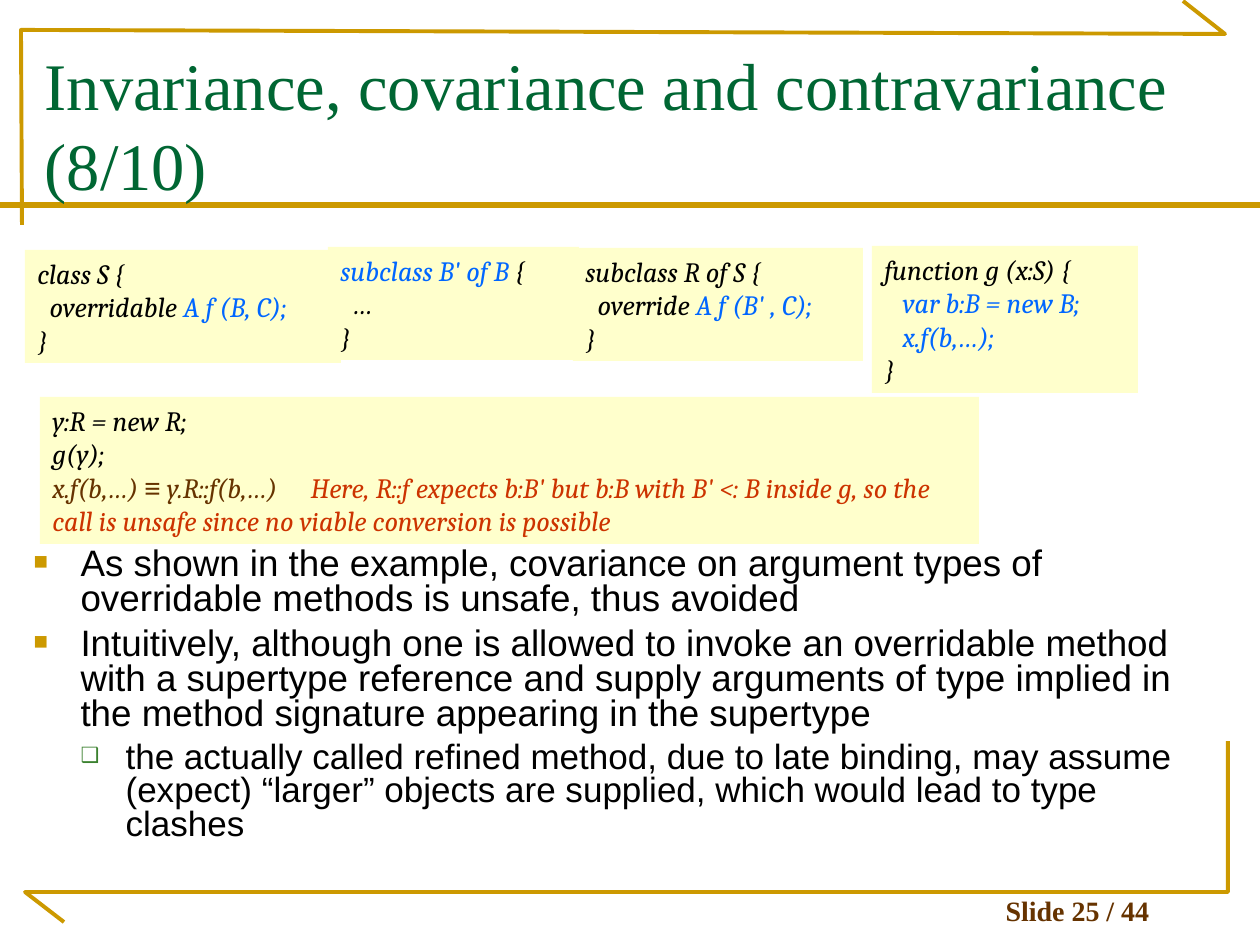
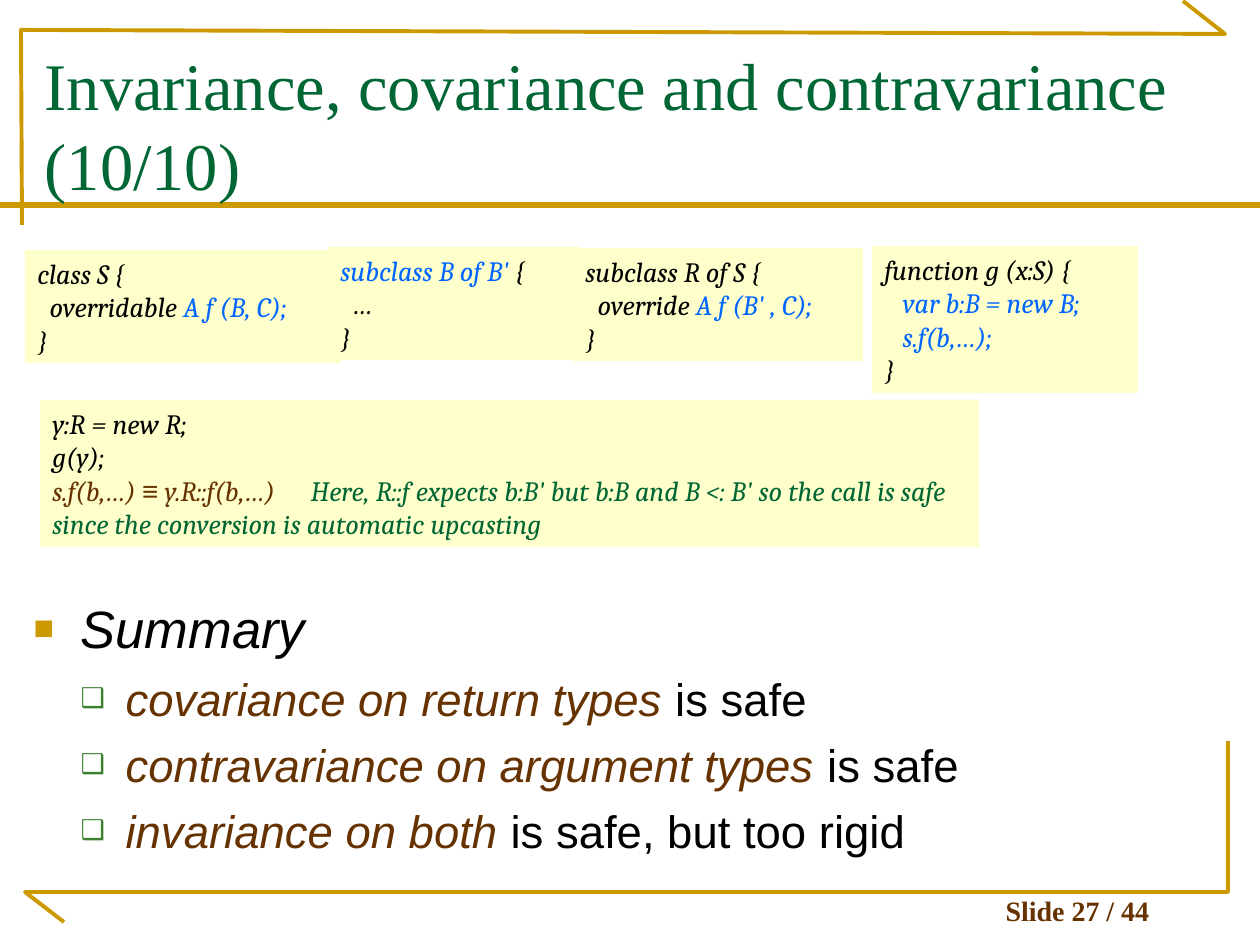
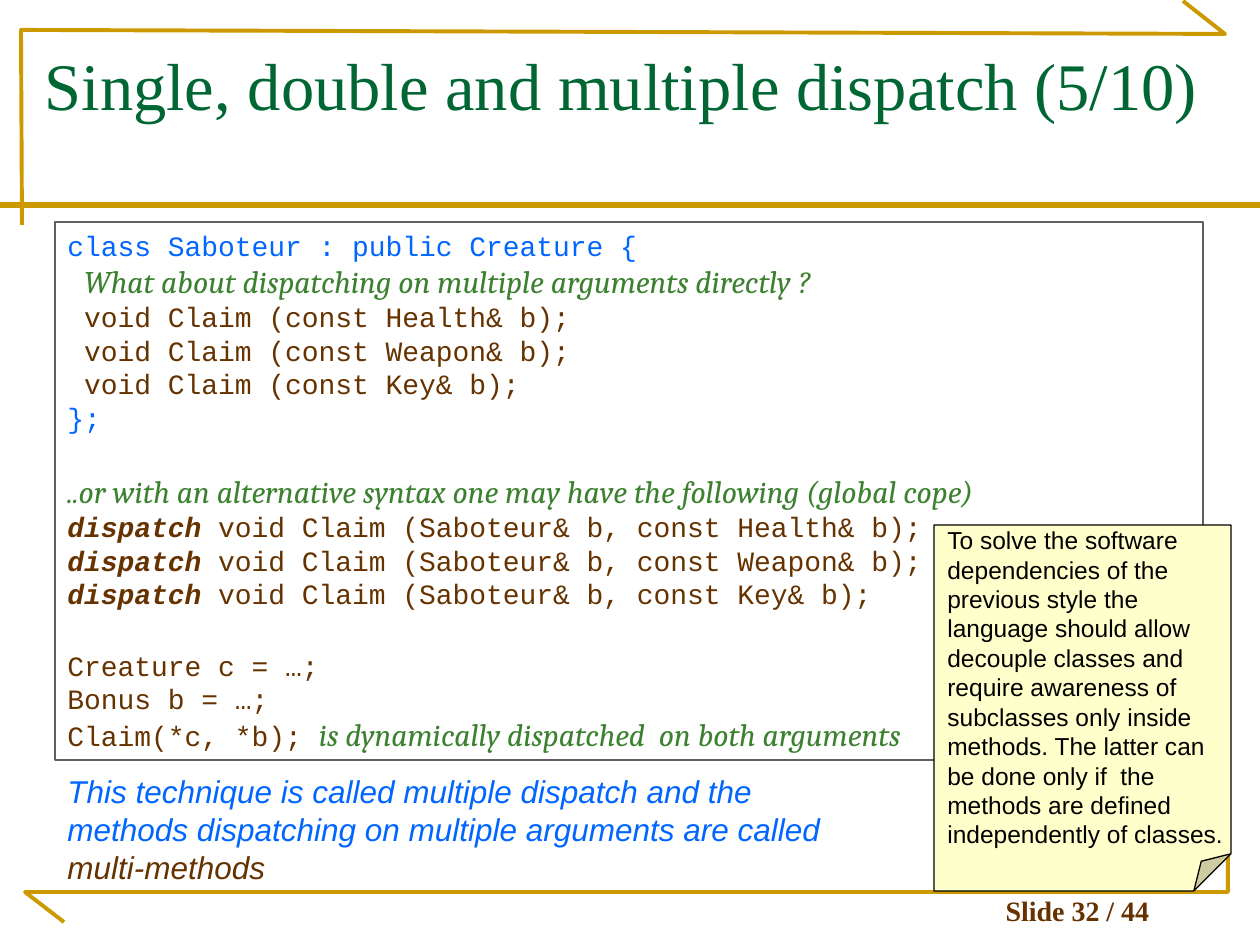
from dataclasses import dataclass, replace

from lxml import etree
from pptx import Presentation
from pptx.dml.color import RGBColor
from pptx.enum.shapes import MSO_CONNECTOR, MSO_SHAPE
from pptx.enum.text import MSO_ANCHOR, MSO_AUTO_SIZE, PP_ALIGN
from pptx.oxml.ns import qn
from pptx.util import Pt

EMU_PER_PX = 914400 / 126
LEFT, CENTER = PP_ALIGN.LEFT, PP_ALIGN.CENTER
TOP, BOTTOM = MSO_ANCHOR.TOP, MSO_ANCHOR.BOTTOM
RECTANGLE, FOLDED_CORNER = MSO_SHAPE.RECTANGLE, MSO_SHAPE.FOLDED_CORNER
STRAIGHT, NO_AUTOFIT = MSO_CONNECTOR.STRAIGHT, MSO_AUTO_SIZE.NONE
SLIDE_TOTAL = 44


# Theme
@dataclass(frozen=True)
class Style:
    font: str
    size: int
    color: str
    bold: bool = False
    italic: bool = False


@dataclass(frozen=True)
class Theme:
    gold: str = "CC9900"
    green: str = "006633"
    leaf: str = "3B812F"
    blue: str = "0066FF"
    brown: str = "663300"
    red: str = "CC3300"
    black: str = "000000"
    gray: str = "5F5F5F"
    cream: str = "FFFFCC"
    serif: str = "Times New Roman"
    sans: str = "Arial"
    cambria: str = "Cambria"
    mono: str = "Courier New"
    title_size: int = 38
    summary_size: int = 30
    summary_item_size: int = 26
    point_size: int = 21
    subpoint_size: int = 20
    remark_size: int = 18
    code_size: int = 16
    note_size: int = 14


T = Theme()
TITLE = Style(T.serif, T.title_size, T.green)
FOOTER = Style(T.serif, T.code_size, T.brown, bold=True)
CODE = Style(T.cambria, T.code_size, T.black, italic=True)
CODE_BLUE = replace(CODE, color=T.blue)
CODE_BROWN = replace(CODE, color=T.brown)
MONO = Style(T.mono, T.code_size, T.brown)
MONO_BLUE = replace(MONO, color=T.blue)
KEYWORD = replace(MONO, bold=True, italic=True)
REMARK = Style(T.cambria, T.remark_size, T.leaf, italic=True)
POINT = Style(T.sans, T.point_size, T.black)
SUBPOINT = replace(POINT, size=T.subpoint_size)
SUMMARY = replace(POINT, size=T.summary_size, italic=True)
SAFETY = replace(POINT, size=T.summary_item_size)
VARIANCE = replace(SAFETY, color=T.brown, italic=True)
NOTE = replace(POINT, size=T.note_size)
CAPTION = Style(T.sans, T.remark_size, T.blue, italic=True)

# Bullets by level: sign, colour, size in percent, left margin and hang in px
BULLETS = (("■", T.gold, 65, 47, 47), ("❑", T.leaf, 60, 92, 45))

# Lines of the page frame
TOP_FRAME = ((22, 225), (21, 30), (1225, 34), (1183, 1))
BOTTOM_FRAME = ((64, 922), (25, 892), (1228, 892), (1228, 741))


def px(length):
    return round(length * EMU_PER_PX)


def box_px(box):
    return [px(length) for length in box]


def rgb(color):
    return RGBColor.from_string(color)


# Text
def write(frame, paragraphs, align=LEFT, anchor=TOP):
    """Fill a text frame with paragraphs, each a list of (text, style) runs."""
    frame.word_wrap = True
    frame.auto_size = NO_AUTOFIT
    frame.vertical_anchor = anchor
    for index, runs in enumerate(paragraphs):
        paragraph = frame.add_paragraph() if index else frame.paragraphs[0]
        paragraph.alignment = align
        for text, style in runs:
            run = paragraph.add_run()
            run.text = text
            font = run.font
            font.name, font.size = style.font, Pt(style.size)
            font.bold, font.italic = style.bold, style.italic
            font.color.rgb = rgb(style.color)


def add_bullet(paragraph, level):
    sign, color, percent, margin, hang = BULLETS[level]
    paragraph.level = level
    props = paragraph._p.get_or_add_pPr()
    props.set("marL", str(px(margin)))
    props.set("indent", str(-px(hang)))
    bullet_color = etree.SubElement(props, qn("a:buClr"))
    etree.SubElement(bullet_color, qn("a:srgbClr"), val=color)
    etree.SubElement(props, qn("a:buSzPct"), val=str(percent * 1000))
    etree.SubElement(props, qn("a:buChar"), char=sign)


def add_label(slide, box, paragraphs, **layout):
    label = slide.shapes.add_textbox(*box_px(box))
    write(label.text_frame, paragraphs, **layout)


# Shapes
def set_line(shape, color, width):
    shape.line.color.rgb = rgb(color)
    shape.line.width = Pt(width)


def add_panel(slide, box, paragraphs=(), kind=RECTANGLE, fill=T.cream, line=None):
    panel = slide.shapes.add_shape(kind, *box_px(box))
    panel.shadow.inherit = False
    if fill:
        panel.fill.solid()
        panel.fill.fore_color.rgb = rgb(fill)
    else:
        panel.fill.background()
    if line:
        set_line(panel, line, 0.75)
    else:
        panel.line.fill.background()
    write(panel.text_frame, paragraphs)
    return panel


def add_folded_note(slide, box):
    note = add_panel(slide, box, kind=FOLDED_CORNER, line=T.black)
    geometry = note.element.spPr.find(qn("a:prstGeom"))
    guides = geometry.get_or_add_avLst()
    etree.SubElement(guides, qn("a:gd"), name="adj", fmla="val 12500")


def add_bracket(slide, points):
    builder = slide.shapes.build_freeform(*points[0], scale=EMU_PER_PX)
    builder.add_line_segments(points[1:], close=False)
    bracket = builder.convert_to_shape()
    bracket.shadow.inherit = False
    bracket.fill.background()
    set_line(bracket, T.gold, 2.25)
    return bracket


def add_title_rule(slide):
    rule = slide.shapes.add_connector(STRAIGHT, 0, px(205), px(1260), px(205))
    set_line(rule, T.gold, 3)
    etree.SubElement(rule.element.spPr, qn("a:effectLst"))
    return rule


def move_frame_to_master(prs, slide):
    """Draw the page frame once and let every slide inherit it."""
    frame = [add_bracket(slide, TOP_FRAME), add_bracket(slide, BOTTOM_FRAME),
             add_title_rule(slide)]
    for shape_id, part in enumerate(frame, start=20):
        part.element.xpath("./*/p:cNvPr")[0].set("id", str(shape_id))
        prs.slide_master.shapes.element.insert_element_before(part.element, "p:extLst")


# Slide parts
def place(placeholder, box):
    (placeholder.left, placeholder.top,
     placeholder.width, placeholder.height) = box_px(box)


def add_slide(prs, layout, title, number):
    slide = prs.slides.add_slide(prs.slide_layouts.get_by_name(layout))
    place(slide.shapes.title, (32, 38, 1187, 158))
    write(slide.shapes.title.text_frame, [[(title, TITLE)]])
    add_label(slide, (929, 891, 297, 42),
              [[(f"Slide {number} / {SLIDE_TOTAL}", FOOTER)]],
              align=CENTER, anchor=BOTTOM)
    return slide


def add_points(slide, top, points, line_spacing=1.0):
    """Fill the body with points, each (level, space before, runs)."""
    body = slide.placeholders[1]
    place(body, (21, top, 1197, 882 - top))
    write(body.text_frame, [runs for _, _, runs in points])
    for paragraph, (level, space, _) in zip(body.text_frame.paragraphs, points):
        paragraph.line_spacing = line_spacing
        paragraph.space_before = Pt(space)
        add_bullet(paragraph, level)


def add_variance_example(slide, subclass, argument, call_top, verdict, verdict_color):
    """Four declarations in a row and the call that uses them."""
    closing = [("}", CODE)]
    add_panel(slide, (25, 250, 316, 113), [
        [("class S {", CODE)],
        [("  overridable ", CODE), ("A f (B, C);", CODE_BLUE)],
        closing])
    add_panel(slide, (328, 247, 251, 113), [
        [(subclass, CODE_BLUE), (" {", CODE)],
        [("  …", CODE)],
        closing])
    add_panel(slide, (573, 248, 290, 113), [
        [("subclass R of S {", CODE)],
        [("  override ", CODE), ("A f (B' , C);", CODE_BLUE)],
        closing])
    add_panel(slide, (872, 246, 266, 147), [
        [("function g (x:S) {", CODE)],
        [("   var b:B = new B;", CODE_BLUE)],
        [(f"   {argument}.f(b,…);", CODE_BLUE)],
        closing])
    add_panel(slide, (40, call_top, 939, 147), [
        [("y:R = new R;", CODE)],
        [("g(y);", CODE)],
        [(f"{argument}.f(b,…) ", CODE_BROWN),
         ("≡", replace(CODE_BROWN, font=T.sans)),
         (" y.R::f(b,…)\t ", CODE_BROWN),
         (verdict, replace(CODE, color=verdict_color))]])


def add_dispatch_listing(slide):
    bonuses = ("Health", "Weapon", "Key")
    methods = [[(f" void Claim (const {bonus}& b);", MONO)] for bonus in bonuses]
    functions = [[("dispatch", KEYWORD),
                  (f" void Claim (Saboteur& b, const {bonus}& b);", MONO)]
                 for bonus in bonuses]
    members = [
        [("class Saboteur : public Creature {", MONO_BLUE)],
        [(" ", MONO_BLUE),
         ("What about dispatching on multiple arguments directly ?", REMARK)],
        *methods,
        [("};", MONO_BLUE)]]
    alternative = [
        [("..or with an alternative syntax one may have the following (global cope)",
          REMARK)],
        *functions]
    usage = [
        [("Creature c = …;", MONO)],
        [("Bonus b = …;", MONO)],
        [("Claim(*c, *b); ", MONO),
         ("is dynamically dispatched  on both arguments", REMARK)]]
    listing = add_panel(slide, (55, 222, 1148, 538), members + alternative + usage,
                        fill=None, line=T.gray)
    lines = listing.text_frame.paragraphs
    for section_start in (len(members), len(members) + len(alternative)):
        lines[section_start].space_before = Pt(21.6)


# Slides
def build_unsafe_covariance(prs):
    slide = add_slide(prs, "Title and Content",
                      "Invariance, covariance and contravariance (8/10)", 25)
    move_frame_to_master(prs, slide)
    add_points(slide, 542, [
        (0, 5.2, [("As shown in the example, covariance on argument types of "
                   "overridable methods is unsafe, thus avoided", POINT)]),
        (0, 5.2, [("Intuitively, although one is allowed to invoke an overridable "
                   "method with a supertype reference and supply arguments of type "
                   "implied in the method signature appearing in the supertype",
                   POINT)]),
        (1, 5, [("the actually called refined method, due to late binding, may "
                 "assume (expect) “larger” objects are supplied, which would lead "
                 "to type clashes", SUBPOINT)]),
    ], line_spacing=0.8)
    add_variance_example(
        slide, "subclass B' of B", "x", 397,
        "Here, R::f expects b:B' but b:B with B' <: B inside g, so the call is "
        "unsafe since no viable conversion is possible", T.red)


def build_variance_summary(prs):
    slide = add_slide(prs, "Title and Content",
                      "Invariance, covariance and contravariance (10/10)", 27)
    conclusions = (("covariance on return types", " is safe"),
                   ("contravariance on argument types", " is safe"),
                   ("invariance on both", " is safe, but too rigid"))
    add_points(slide, 590, [(0, 7.5, [("Summary", SUMMARY)])] + [
        (1, 6.5, [(variance, VARIANCE), (safety, SAFETY)])
        for variance, safety in conclusions])
    add_variance_example(
        slide, "subclass B of B'", "s", 400,
        "Here, R::f expects b:B' but b:B and B <: B' so the call is safe since "
        "the conversion is automatic upcasting", T.green)


def build_multiple_dispatch(prs):
    slide = add_slide(prs, "Title Only",
                      "Single, double and multiple dispatch (5/10)", 32)
    add_dispatch_listing(slide)
    add_folded_note(slide, (934, 525, 297, 366))
    add_label(slide, (935, 519, 305, 336), [[
        ("To solve the software dependencies of the previous style the language "
         "should allow decouple classes and require awareness of subclasses only "
         "inside methods. The latter can be done only if  the methods are defined "
         "independently of classes.", NOTE)]])
    add_label(slide, (55, 766, 786, 126), [[
        ("This technique is called multiple dispatch and the methods dispatching "
         "on multiple arguments are called ", CAPTION),
        ("multi-methods", replace(CAPTION, color=T.brown))]])


def main():
    prs = Presentation()
    prs.slide_width, prs.slide_height = px(1260), px(945)
    build_unsafe_covariance(prs)
    build_variance_summary(prs)
    build_multiple_dispatch(prs)
    prs.save("out.pptx")


if __name__ == "__main__":
    main()
